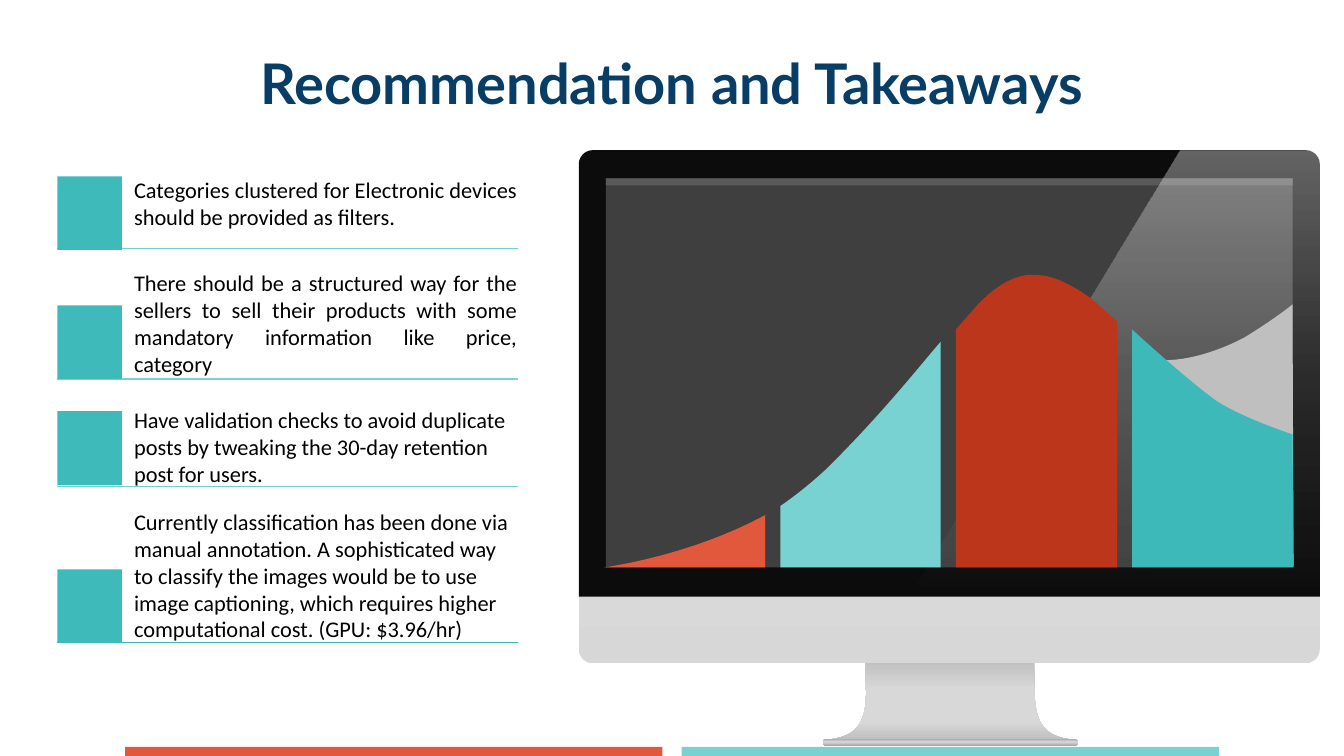
from lxml import etree
from pptx import Presentation
from pptx.dml.color import RGBColor
from pptx.enum.shapes import MSO_CONNECTOR as LINE, MSO_SHAPE as SHAPE
from pptx.enum.text import MSO_ANCHOR as ANCHOR, MSO_AUTO_SIZE as FIT, PP_ALIGN as ALIGN
from pptx.oxml.ns import qn
from pptx.util import Inches, Pt

TEAL, PALE_TEAL, ORANGE, RED = "3DB9B9", "78D2D2", "E2583D", "BB361B"
SQUARE_TEAL, LINE_TEAL = "3EBABA", "73D0D0"
ROW_WIDTH, SQUARE_WIDTH, SQUARE_HEIGHT, TEXT_INDENT = 4.57, 0.64, 0.73, 0.76

TAKEAWAYS = [
    ("Categories clustered for Electronic devices should be provided as filters.",
     1.75, 1.75, 2.47, 0.54, ALIGN.JUSTIFY, LINE_TEAL),
    ("There should be a structured way for the sellers to sell their products with "
     "some mandatory information like price, category",
     2.67, 3.03, 3.76, 0.94, ALIGN.JUSTIFY, PALE_TEAL),
    ("Have validation checks to avoid duplicate posts by tweaking the 30-day "
     "retention post for users.",
     4.03, 4.08, 4.83, 0.54, ALIGN.LEFT, LINE_TEAL),
    ("Currently classification has been done via manual annotation. A sophisticated "
     "way to classify the images would be to use image captioning, which requires "
     "higher computational cost. (GPU: $3.96/hr)",
     5.04, 5.65, 6.37, 1.39, ALIGN.LEFT, TEAL),
]

NECK = [(2.84, 5.06), (4.52, 5.06), (4.52, 5.38), (4.53, 5.7, 4.63, 5.83, 4.93, 5.85),
        (2.44, 5.85), (2.74, 5.83, 2.85, 5.7, 2.85, 5.38)]
GLARE = [(5.96, 0), (7.23, 0), (7.31, 0, 7.37, 0.06, 7.37, 0.14), (7.37, 4.34), (3.33, 4.34)]
CHART_AREAS = [
    ("BFBFBF", [(5.49, 1.99), (5.49, 4.12), (7.09, 4.12), (7.08, 1.53),
                (7.08, 1.53, 6.91, 1.67, 6.6, 1.86), (6.24, 2.05, 5.73, 2.18, 5.49, 1.99)]),
    (ORANGE, [(0.25, 4.14), (1.85, 4.14), (1.85, 3.62), (1.11, 4.02, 0.31, 4.13, 0.25, 4.14)]),
    (RED, [(3.74, 4.14), (5.34, 4.14), (5.34, 1.7), (5.25, 1.62, 5.18, 1.56, 5.16, 1.54),
           (5.07, 1.45, 4.77, 1.24, 4.55, 1.24), (4.51, 1.24, 4.31, 1.19, 4, 1.49),
           (3.92, 1.57, 3.84, 1.67, 3.74, 1.78)]),
    (PALE_TEAL, [(2, 4.14), (3.59, 4.14), (3.59, 1.9), (3.34, 2.19, 3.03, 2.59, 2.47, 3.15),
                 (2.32, 3.29, 2.16, 3.42, 2, 3.53)]),
    (TEAL, [(5.49, 1.78), (5.49, 4.14), (7.09, 4.14), (7.08, 2.82),
            (7.08, 2.82, 6.59, 2.66, 6.33, 2.49), (6.14, 2.36, 5.73, 2, 5.49, 1.78)]),
]


def color(value):
    """Turn a hex string into a colour."""
    return RGBColor.from_string(value)


def paint(shape, fill, angle=90):
    """Fill with a hex colour or a list of (position, colour, opacity) stops."""
    shape.shadow.inherit = False
    shape.line.fill.background()
    if isinstance(fill, str):
        shape.fill.solid()
        shape.fill.fore_color.rgb = color(fill)
        return
    shape.fill.gradient()
    shape.fill.gradient_angle = 360 - angle
    stops = next(shape.element.iter(qn("a:gsLst")))
    for stop in list(stops):
        stops.remove(stop)
    for position, value, opacity in fill:
        stop = etree.SubElement(stops, qn("a:gs"), pos=str(position * 1000))
        tone = etree.SubElement(stop, qn("a:srgbClr"), val=value)
        if opacity < 100:
            etree.SubElement(tone, qn("a:alpha"), val=str(opacity * 1000))


def add_block(shapes, kind, left, top, width, height, fill, angle=90):
    """Add a filled preset shape."""
    block = shapes.add_shape(kind, Inches(left), Inches(top), Inches(width), Inches(height))
    paint(block, fill, angle)
    return block


def bezier(start, curve, steps=16):
    """Return points along a cubic curve, without its start."""
    points = [start, curve[:2], curve[2:4], curve[4:]]
    result = []
    for step in range(1, steps + 1):
        t = step / steps
        weights = ((1 - t) ** 3, 3 * t * (1 - t) ** 2, 3 * t * t * (1 - t), t ** 3)
        result.append(tuple(sum(w * p[axis] for w, p in zip(weights, points)) for axis in (0, 1)))
    return result


def add_outline(shapes, left, top, segments, fill):
    """Add a closed outline of straight and curved segments."""
    points = [segments[0]]
    for segment in segments[1:]:
        points += [segment] if len(segment) == 2 else bezier(points[-1], segment)
    corners = [(Inches(left + x), Inches(top + y)) for x, y in points]
    builder = shapes.build_freeform(*corners[0], scale=1.0)
    builder.add_line_segments(corners[1:], close=True)
    paint(builder.convert_to_shape(), fill)


def write(box, text, font, size, value, align, bold=False):
    """Write one paragraph into a box without margins."""
    frame = box.text_frame
    frame.word_wrap = True
    frame.auto_size = FIT.NONE
    frame.margin_left = frame.margin_right = frame.margin_top = frame.margin_bottom = 0
    frame.text = text
    para = frame.paragraphs[0]
    para.alignment = align
    span = para.runs[0]
    span.font.name, span.font.size, span.font.bold = font, Pt(size), bold
    span.font.color.rgb = color(value)


def add_title(page, left, top, width, height):
    """Place the slide title."""
    title = page.shapes.title
    title.left, title.top = Inches(left), Inches(top)
    title.width, title.height = Inches(width), Inches(height)
    write(title, "Recommendation and Takeaways", "Lato", 40, "083D65", ALIGN.CENTER, True)
    title.text_frame.vertical_anchor = ANCHOR.MIDDLE


def add_footer(page, left, top, width, height, gap):
    """Place the two bars at the bottom edge."""
    for index, fill in enumerate((ORANGE, PALE_TEAL)):
        add_block(page.shapes, SHAPE.RECTANGLE, left + index * (width + gap), top,
                  width, height, fill)


def add_monitor(page, left, top, width, height):
    """Draw the monitor with its area chart picture."""
    shapes = page.shapes.add_group_shape().shapes
    radius, bezel_height = 0.14, 4.43
    add_outline(shapes, left, top, NECK, [(0, "BFBFBF", 100), (37, "D8D8D8", 100),
                                          (77, "D8D8D8", 100), (100, "BFBFBF", 100)])
    base = add_block(shapes, SHAPE.ROUNDED_RECTANGLE, left + 2.42, top + 5.84, 2.53, 0.07,
                     [(0, "A5A5A5", 100), (44, "D8D8D8", 100), (100, "A5A5A5", 100)])
    base.adjustments[0] = 0.5
    body = add_block(shapes, SHAPE.ROUNDED_RECTANGLE, left, top, width, height,
                     [(0, "D7D7D7", 100), (50, "E5E5E5", 100), (100, "F2F2F2", 100)], 270)
    body.adjustments[0] = radius / height
    bezel = add_block(shapes, SHAPE.ROUND_2_SAME_RECTANGLE, left, top, width, bezel_height,
                      "0C0C0C")
    bezel.adjustments[0] = radius / bezel_height
    for screen_height, fill in ((3.86, "3F3F3F"), (0.07, "595959")):
        add_block(shapes, SHAPE.RECTANGLE, left + 0.27, top + 0.28, 6.81, screen_height, fill)
    add_outline(shapes, left, top, GLARE,
                [(0, "FFFFFF", 36), (50, "FFFFFF", 13), (100, "EFEDED", 0)])
    for fill, segments in CHART_AREAS:
        add_outline(shapes, left, top, segments, fill)


def add_takeaway(page, left, text, text_top, square_top, rule_y, height, align, rule_color):
    """Place one takeaway with its square and underline."""
    rule = page.shapes.add_connector(LINE.STRAIGHT, Inches(left), Inches(rule_y),
                                     Inches(left + ROW_WIDTH), Inches(rule_y))
    rule.line.color.rgb = color(rule_color)
    rule.line.width = Pt(0.75)
    etree.SubElement(rule.element.spPr, qn("a:effectLst"))
    add_block(page.shapes, SHAPE.RECTANGLE, left, square_top, SQUARE_WIDTH, SQUARE_HEIGHT,
              SQUARE_TEAL)
    box = page.shapes.add_textbox(Inches(left + TEXT_INDENT), Inches(text_top),
                                  Inches(3.8), Inches(height))
    write(box, text, "Calibri", 16, "000000", align)


def main():
    """Build and save the slide."""
    deck = Presentation()
    deck.slide_width, deck.slide_height = Inches(13.33), Inches(7.5)
    page = deck.slides.add_slide(deck.slide_layouts[5])
    add_title(page, 0.71, 0.48, 11.9, 0.67)
    add_footer(page, 1.24, 7.41, 5.33, 0.09, 0.19)
    add_monitor(page, 5.74, 1.49, 7.35, 5.09)
    for takeaway in TAKEAWAYS:
        add_takeaway(page, 0.57, *takeaway)
    deck.save("out.pptx")


if __name__ == "__main__":
    main()
